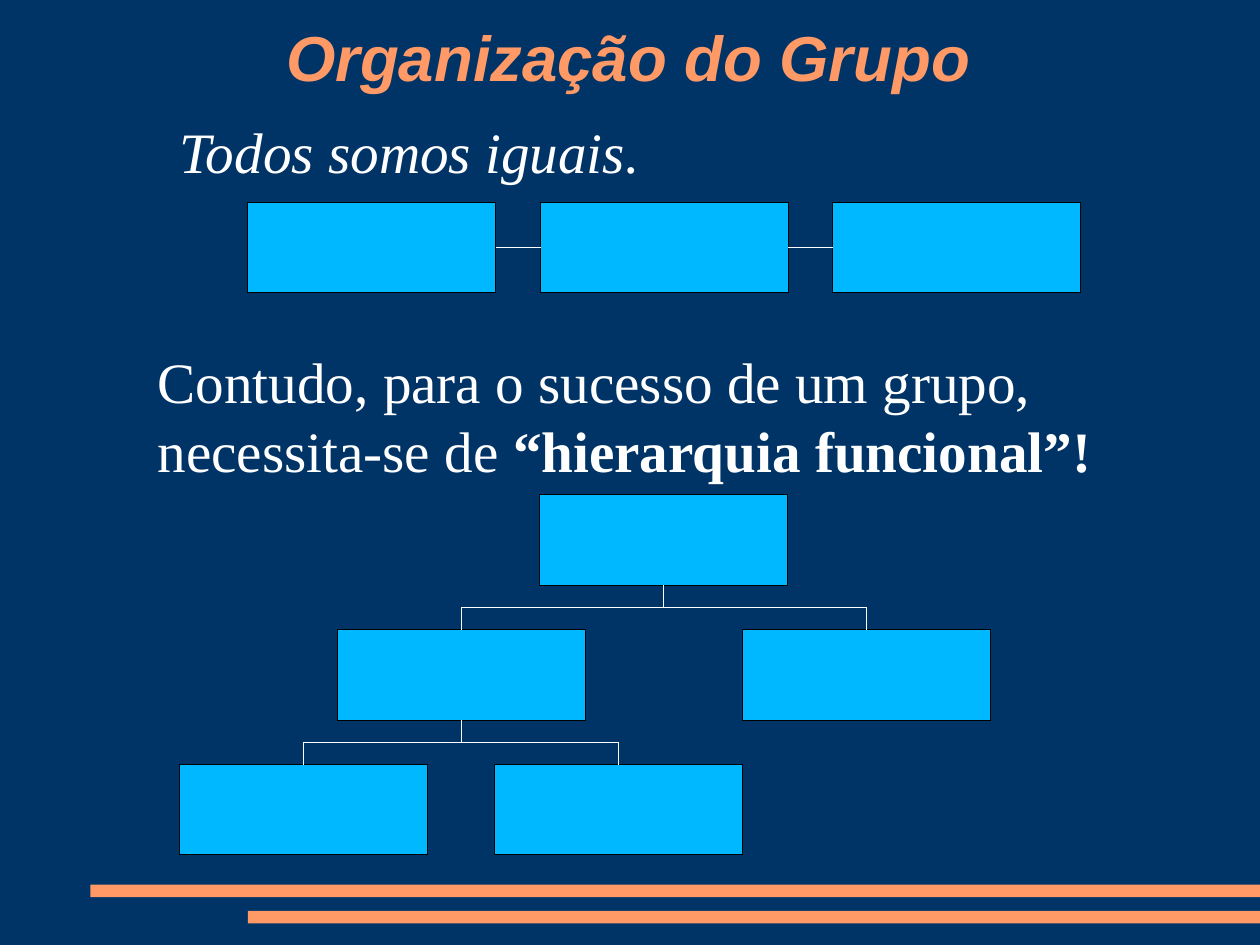
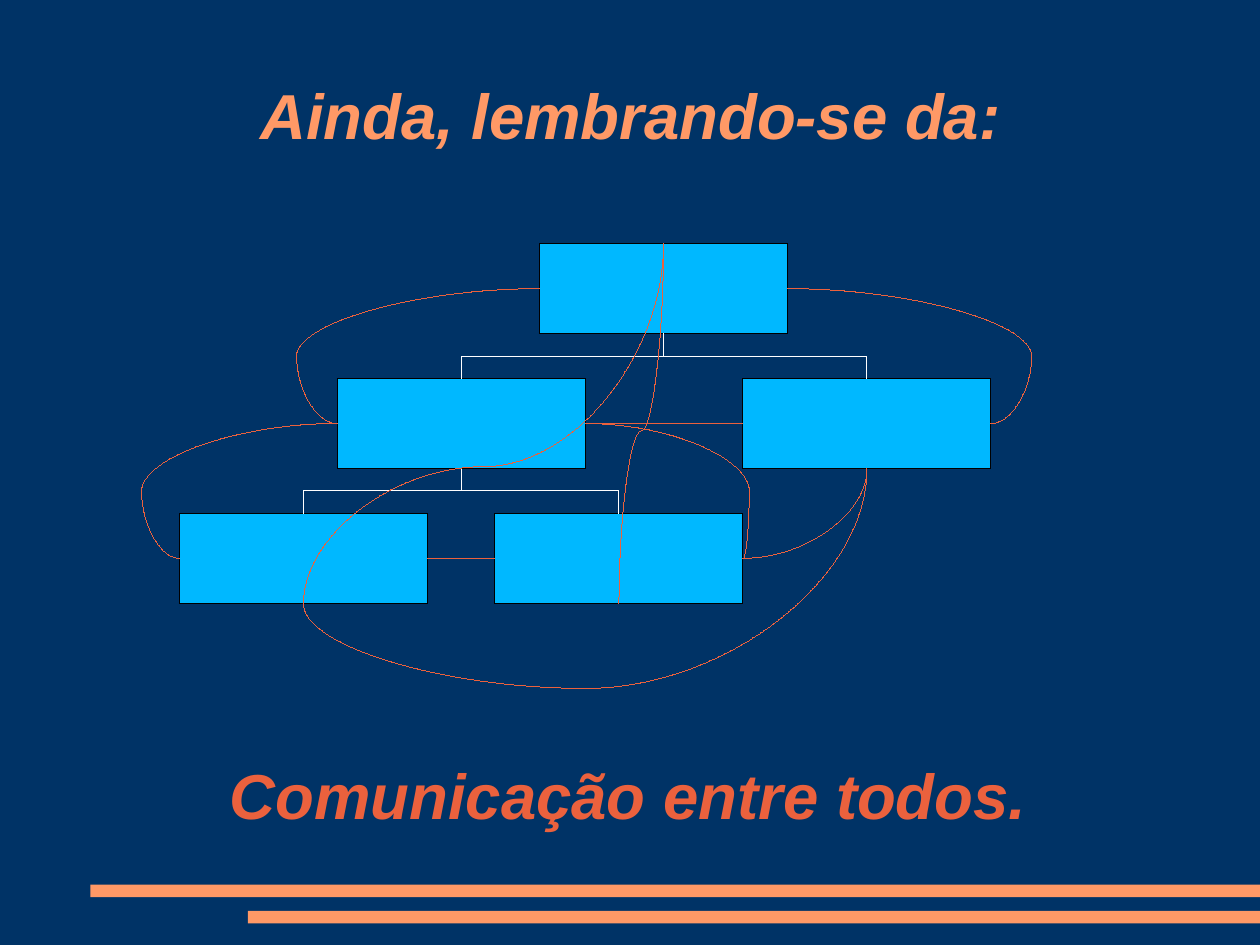
from dataclasses import dataclass

from pptx import Presentation
from pptx.dml.color import RGBColor
from pptx.enum.shapes import MSO_CONNECTOR, MSO_SHAPE
from pptx.enum.text import MSO_ANCHOR, PP_ALIGN
from pptx.oxml.ns import qn
from pptx.util import Inches, Pt
from lxml import etree

RECT = MSO_SHAPE.RECTANGLE
LINE, BENT, CURVE = MSO_CONNECTOR.STRAIGHT, MSO_CONNECTOR.ELBOW, MSO_CONNECTOR.CURVE
MIDDLE, CENTER, LEFT = MSO_ANCHOR.MIDDLE, PP_ALIGN.CENTER, PP_ALIGN.LEFT
TOP = MSO_ANCHOR.TOP
# Connection sites of a rectangle
N, W, S, E = range(4)


@dataclass(frozen=True)
class Theme:
    back: str = "003366"
    accent: str = "FF9966"
    coral: str = "EB613D"
    box: str = "00B8FF"
    edge: str = "000000"
    text: str = "FFFFFF"
    head: str = "Arial"
    body: str = "Times New Roman"
    big: int = 40
    mid: int = 36


T = Theme()
WIDE, HIGH = 28 / 2.54, 21 / 2.54  # 28 by 21 cm
BOX_W, BOX_H = 2.17, 0.79
STEP = 1.18  # row pitch of the tree
# Tree nodes: offset from the left edge, row
NODES = {"root": (3.15, 0), "left": (1.38, 1), "right": (4.93, 1),
         "leaf1": (0, 2), "leaf2": (2.76, 2)}
BRANCH = [("root", "left"), ("root", "right"), ("left", "leaf1"), ("left", "leaf2")]
# Peer links: from, site, to, site, bend, attached to the boxes
PEERS = [
    ("root", E, "right", E, 1.2, True),
    ("right", W, "left", E, None, True),
    ("root", W, "left", W, 1.2, True),
    ("right", S, "leaf2", E, None, True),
    ("leaf2", W, "leaf1", E, None, True),
    ("leaf1", W, "left", W, -0.24, True),
    ("leaf1", S, "right", S, -0.63, True),
    ("root", N, "leaf1", S, 0.62, False),
    ("leaf2", S, "root", N, 0.48, False),
    ("left", E, "leaf2", E, 1.04, True),
]


def rgb(code):
    return RGBColor.from_string(code)


def style(item, **values):
    for name, value in values.items():
        setattr(item, name, value)


def place(shape, x, y, w, h):
    style(shape, left=Inches(x), top=Inches(y), width=Inches(w), height=Inches(h))


def hair(shape, color):
    """Thinnest line; a zero width has to be stated in the XML."""
    shape.line.color.rgb = rgb(color)
    shape.element.spPr.find(qn("a:ln")).set("w", "0")


def rect(shapes, x, y, w, h, fill, edge=None):
    shape = shapes.add_shape(RECT, Inches(x), Inches(y), Inches(w), Inches(h))
    shape.shadow.inherit = False
    shape.fill.solid()
    shape.fill.fore_color.rgb = rgb(fill)
    if edge:
        hair(shape, edge)
    else:
        shape.line.fill.background()
    return shape


def write(shape, runs, color, face, size, align=LEFT, anchor=TOP):
    """Fill a text frame with one paragraph of (text, bold, italic) runs."""
    frame = shape.text_frame
    style(frame, word_wrap=True, vertical_anchor=anchor, margin_left=0,
          margin_right=0, margin_top=0, margin_bottom=0)
    para = frame.paragraphs[0]
    para.alignment = align
    for text, bold, slant in runs:
        run = para.add_run()
        run.text = text
        style(run.font, name=face, size=Pt(size), bold=bold, italic=slant)
        run.font.color.rgb = rgb(color)


def label(slide, x, y, w, h, runs):
    shape = slide.shapes.add_textbox(Inches(x), Inches(y), Inches(w), Inches(h))
    write(shape, runs, T.text, T.body, T.mid)


def banner(shape, x, y, text, color=T.accent):
    """Title style shared by headings and the closing line."""
    place(shape, x, y, 9.41, 1.38)
    write(shape, [(text, True, True)], color, T.head, T.big, CENTER, MIDDLE)


def spot(shape, site):
    """Point of a connection site."""
    x, y, w, h = shape.left, shape.top, shape.width, shape.height
    return [(x + w // 2, y), (x, y + h // 2),
            (x + w // 2, y + h), (x + w, y + h // 2)][site]


def link(shapes, kind, start, end, color, bend=None, glue=True):
    """Join two (shape, site) ends; a vertical start turns the route by 90°."""
    (ax, ay), (bx, by) = spot(*start), spot(*end)
    if ay == by:
        kind = LINE
    wire = shapes.add_connector(kind, ax, ay, bx, by)
    if glue:
        wire.begin_connect(*start)
        wire.end_connect(*end)
    hair(wire, color)
    props = wire.element.spPr
    etree.SubElement(props, qn("a:effectLst"))
    if kind == LINE:
        return
    if start[1] in (N, S):
        w, h = abs(by - ay), abs(bx - ax)
        style(wire, left=(ax + bx - w) // 2, top=(ay + by - h) // 2,
              width=w, height=h)
        form = props.find(qn("a:xfrm"))
        form.set("rot", "5400000")
        form.set("flipH", str(int(by < ay)))
        form.set("flipV", str(int(bx > ax)))
    geom = props.find(qn("a:prstGeom"))
    if bend is None:
        geom.set("prst", "curvedConnector2")
        return
    guides = geom.find(qn("a:avLst"))
    if guides is None:
        guides = etree.SubElement(geom, qn("a:avLst"))
    etree.SubElement(guides, qn("a:gd"), name="adj1",
                     fmla=f"val {round(bend * 100000)}")


def row(shapes, x, y, count=3, pitch=2.555):
    """Equal boxes joined side by side."""
    boxes = [rect(shapes, x + i * pitch, y, BOX_W, BOX_H, T.box, T.edge)
             for i in range(count)]
    for a, b in zip(boxes, boxes[1:]):
        link(shapes, LINE, (a, E), (b, W), T.text)


def tree(shapes, x, y):
    """Hierarchy of boxes with its branches."""
    boxes = {name: rect(shapes, x + dx, y + level * STEP, BOX_W, BOX_H, T.box, T.edge)
             for name, (dx, level) in NODES.items()}
    for a, b in BRANCH:
        link(shapes, BENT, (boxes[a], S), (boxes[b], N), T.text, 0.5)
    return boxes


def web(shapes, boxes):
    """Links between all members of the tree."""
    for a, out, b, into, bend, glue in PEERS:
        link(shapes, CURVE, (boxes[a], out), (boxes[b], into), T.coral, bend, glue)


def base(deck, x, y, title):
    """Slide with the shared bands and title."""
    slide = deck.slides.add_slide(deck.slide_layouts[5])
    for left, top in ((0.79, 7.74), (2.17, 7.97)):
        rect(slide.shapes, left, top, WIDE - left, 0.11, T.accent)
    banner(slide.shapes.title, x, y, title)
    return slide


def group(deck):
    slide = base(deck, 0.79, -0.2, "Organização do Grupo")
    label(slide, 1.57, 1.02, 6.69, 0.68, [("Todos somos iguais.", False, True)])
    row(slide.shapes, 2.17, 1.77)
    label(slide, 1.38, 3.03, 8.86, 2.05, [
        ("Contudo, para o sucesso de um grupo, necessita-se de ", False, False),
        ("“hierarquia funcional”!", True, False)])
    tree(slide.shapes, 1.57, 4.33)


def talk(deck):
    slide = base(deck, 0.81, 0.31, "Ainda, lembrando-se da:")
    chart = slide.shapes.add_group_shape().shapes
    web(chart, tree(chart, 1.57, 2.13))
    close = slide.shapes.add_textbox(0, 0, 0, 0)
    banner(close, 0.79, 6.26, "Comunicação entre todos.", T.coral)


def main():
    deck = Presentation()
    style(deck, slide_width=Inches(WIDE), slide_height=Inches(HIGH))
    fill = deck.slide_master.background.fill
    fill.solid()
    fill.fore_color.rgb = rgb(T.back)
    group(deck)
    talk(deck)
    deck.save("out.pptx")


if __name__ == "__main__":
    main()
